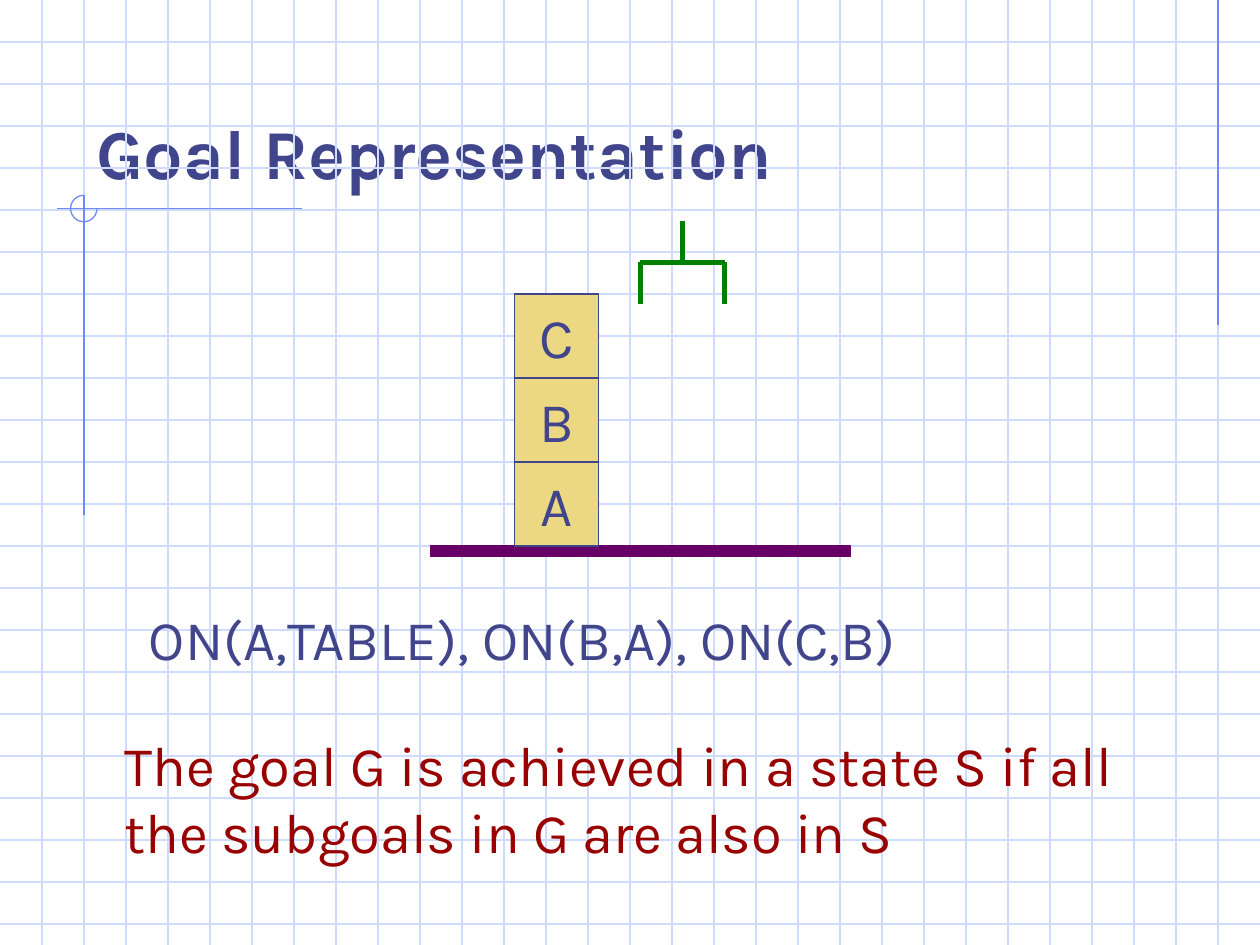
from dataclasses import dataclass

from pptx import Presentation
from pptx import util as u
from pptx.dml.color import RGBColor
from pptx.enum import shapes, text
from pptx.oxml.ns import qn
from lxml import etree


@dataclass(frozen=True)
class Theme:
    font: str = "Karla"
    ink: str = "40458C"
    grid: str = "CFDBFD"
    trim: str = "6F89F7"
    block: str = "ECD882"
    table: str = "660066"
    claw: str = "008000"
    note: str = "990000"
    title: int = 40
    body: int = 32
    thin: float = 0.75
    thick: float = 3


COLS, ROWS = 30, 22.5  # square cells, three to the inch


class Board:
    """Places elements on a slide; all lengths are grid columns and rows."""

    def __init__(self, deck, theme):
        self.theme = theme
        self.cell = deck.slide_width / COLS
        self.slide = deck.slides.add_slide(deck.slide_layouts[5])
        self.items = self.slide.shapes

    def span(self, *cells):
        return [u.Emu(round(n * self.cell)) for n in cells]

    def style(self, frame, size, color, bold=False, align=text.PP_ALIGN.LEFT):
        for para in frame.paragraphs:
            para.alignment = align
            font = para.font
            font.name, font.size, font.bold = self.theme.font, u.Pt(size), bold
            font.color.rgb = RGBColor.from_string(color)

    def title(self, words, *box):
        head = self.items.title
        head.left, head.top, head.width, head.height = self.span(*box)
        frame = head.text_frame
        frame.text = words
        frame.auto_size = text.MSO_AUTO_SIZE.NONE
        frame.vertical_anchor = text.MSO_ANCHOR.BOTTOM
        self.style(frame, self.theme.title, self.theme.ink, bold=True)

    def label(self, words, color, *box):
        frame = self.items.add_textbox(*self.span(*box)).text_frame
        frame.text = words
        frame.word_wrap = False
        frame.auto_size = text.MSO_AUTO_SIZE.SHAPE_TO_FIT_TEXT
        self.style(frame, self.theme.body, color)

    def line(self, color, *ends, width=None):
        link = self.items.add_connector(
            shapes.MSO_CONNECTOR.STRAIGHT, *self.span(*ends))
        link.line.color.rgb = RGBColor.from_string(color)
        link.line.width = u.Pt(width or self.theme.thin)
        etree.SubElement(link._element.spPr, qn("a:effectLst"))

    def shape(self, kind, line, fill, *box):
        item = self.items.add_shape(kind, *self.span(*box))
        item.shadow.inherit = False
        item.line.color.rgb = RGBColor.from_string(line)
        item.line.width = u.Pt(self.theme.thin)
        if fill:
            item.fill.solid()
            item.fill.fore_color.rgb = RGBColor.from_string(fill)
        else:
            item.fill.background()
        return item

    def block(self, name, *box):
        item = self.shape(shapes.MSO_SHAPE.RECTANGLE,
                          self.theme.ink, self.theme.block, *box)
        frame = item.text_frame
        frame.text = name
        frame.word_wrap = False
        frame.vertical_anchor = text.MSO_ANCHOR.MIDDLE
        self.style(frame, self.theme.body, self.theme.ink,
                   align=text.PP_ALIGN.CENTER)

    def arc(self, color, *box):
        item = self.shape(shapes.MSO_SHAPE.ARC, color, None, *box)
        # Clockwise from the right (0) to the top (270 degrees)
        item.adjustments[0], item.adjustments[1] = 0, 162


def main():
    deck = Presentation()
    deck.slide_width, deck.slide_height = u.Inches(10), u.Inches(7.5)
    theme = Theme()
    board = Board(deck, theme)

    # Graph paper
    for row in range(1, 23):
        board.line(theme.grid, 0, row, COLS, row)
    for col in range(1, COLS):
        board.line(theme.grid, col, 0, col, ROWS)

    # Trim lines and the ring where they cross
    board.line(theme.trim, 29, 0, 29, 7.75)
    board.line(theme.trim, 7.2, 4.97, 1.35, 4.97)
    board.line(theme.trim, 2, 4.65, 2, 12.27)
    board.arc(theme.trim, 1.68, 4.65, 0.63, 0.63)

    # Title
    board.title("Goal Representation", 2, 1, 25.5, 3.75)

    # Table with the tower of blocks, from the bottom up
    board.shape(shapes.MSO_SHAPE.RECTANGLE, theme.table, theme.table,
                10.25, 13, 10, 0.25)
    side = 2
    for level, name in enumerate("ABC", 1):
        board.block(name, 12.25, 13 - level * side, side, side)

    # Robot claw: bar, two fingers and the arm
    left, mid, right, bar = 15.25, 16.25, 17.25, 6.25
    for ends in ((left, bar, right, bar), (left, bar, left, bar + 1),
                 (mid, bar - 1, mid, bar), (right, bar, right, bar + 1)):
        board.line(theme.claw, *ends, width=theme.thick)

    # Goal and its meaning
    board.label("ON(A,TABLE), ON(B,A), ON(C,B)", theme.ink,
                3.25, 14.25, 19.83, 1.92)
    board.label("The goal G is achieved in a state S if all\v"
                "the subgoals in G are also in S", theme.note,
                2.67, 17.25, 24.96, 3.5)

    deck.save("out.pptx")


if __name__ == "__main__":
    main()
